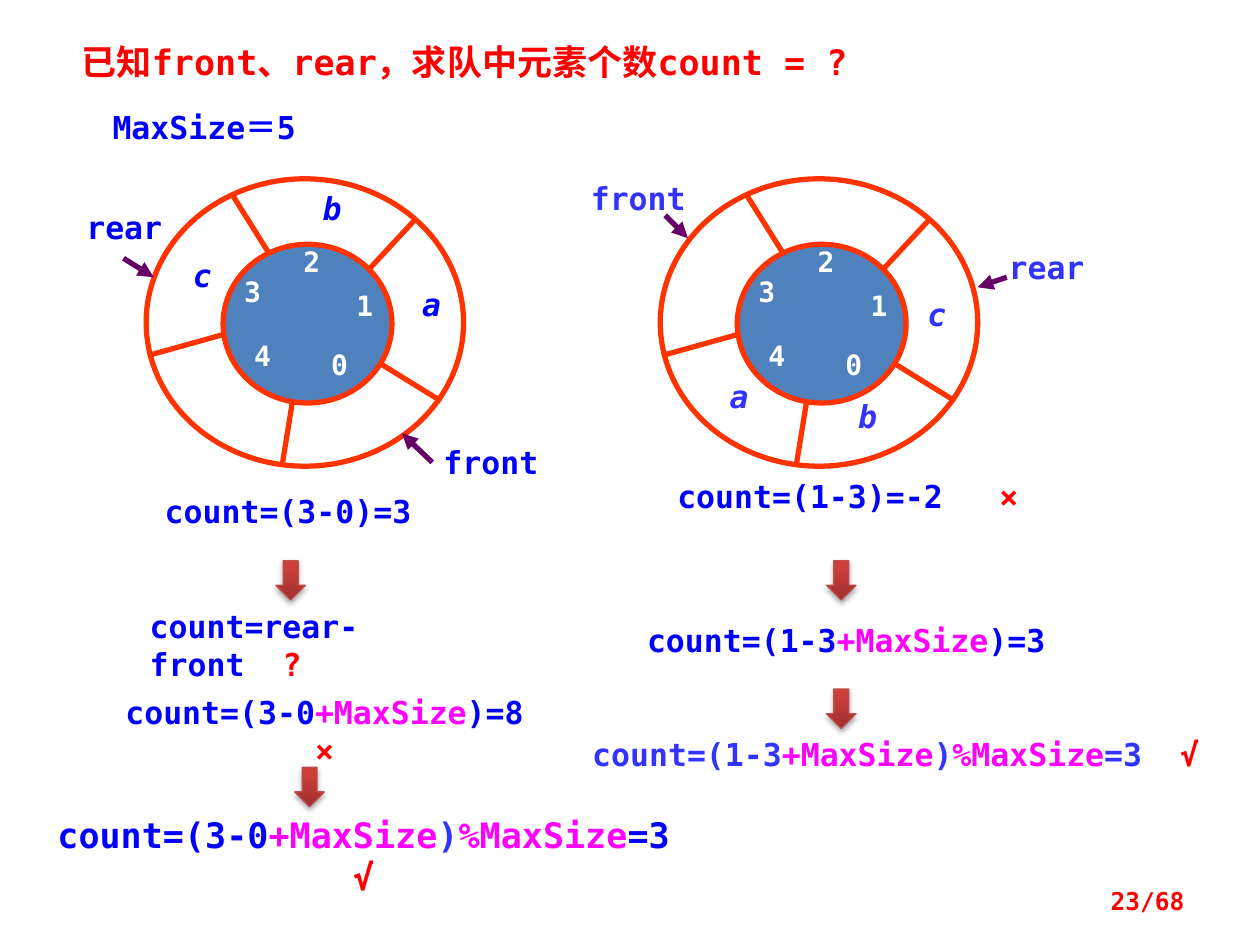
"""Build the slide on counting the elements of a circular queue."""
import lxml.etree
import pptx
import pptx.dml.color
import pptx.enum.shapes
import pptx.enum.text
import pptx.oxml.ns
import pptx.util

Pt = pptx.util.Pt
qn = pptx.oxml.ns.qn
ALIGN = pptx.enum.text.PP_ALIGN
SHAPE = pptx.enum.shapes.MSO_SHAPE
FONT = "DejaVu Sans Mono"
BLUE, INDIGO, PINK, RED = "0000FF", "3333FF", "FF00FF", "FF0000"
WHITE, ORANGE, PURPLE, STEEL = "FFFFFF", "FF3300", "660066", "4F81BD"

DIVIDERS = [
    (134.5, 106, 168.5, 127), (128, 51, 154, 23), (49.5, 9.5, 70.5, 43),
    (83.5, 128, 78, 162), (1, 101, 44, 89),
]
INDEX_PLACES = [(99.4, 96.5), (113.8, 62.6), (83.5, 37.4), (49.7, 54.7), (55.4, 91.4)]


def rgb(color):
    """Return the colour for a hex string."""
    return pptx.dml.color.RGBColor.from_string(color)


def add_text(s, box, runs, size=18, align=ALIGN.CENTER, inset=None, italic=False, tab=None):
    """Add a bold text box made of (text, colour) runs, where a newline run breaks the line."""
    sp = s.shapes.add_textbox(*map(Pt, box))
    tf = sp.text_frame
    tf.word_wrap = True
    if inset is not None:
        tf.margin_left = Pt(inset)
    if inset == 0:
        tf.margin_right = tf.margin_top = tf.margin_bottom = 0
    p = tf.paragraphs[0]
    p.alignment = align
    if tab:
        tabs = lxml.etree.SubElement(p._p.get_or_add_pPr(), qn("a:tabLst"))
        lxml.etree.SubElement(tabs, qn("a:tab"), pos=str(Pt(tab)), algn="l")
    for text, color in runs:
        if text == "\n":
            p.add_line_break()
            continue
        r = p.add_run()
        r.text = text
        r.font.name, r.font.size = FONT, Pt(size)
        r.font.bold = True
        if italic:
            r.font.italic = True
        r.font.color.rgb = rgb(color)
    return sp


def add_label(s, x, y, text, color, size=18):
    """Add a tight label: a pointer name, a cell index or an italic element."""
    width = 57 if len(text) > 1 else 22.3
    add_text(s, (x, y, width, size * 1.2), [(text, color)], size,
             inset=0, italic=text.isalpha() and len(text) == 1)


def add_line(s, ends, color, arrow=False):
    """Add a straight line, with an arrowhead at its end if wanted."""
    cx = s.shapes.add_connector(pptx.enum.shapes.MSO_CONNECTOR.STRAIGHT, *map(Pt, ends))
    cx.line.color.rgb = rgb(color)
    cx.line.width = Pt(3)
    if arrow:
        lxml.etree.SubElement(cx.line._get_or_add_ln(), qn("a:tailEnd"), type="triangle")
    lxml.etree.SubElement(cx._element.spPr, qn("a:effectLst"))


def add_ellipse(s, box, fill=None):
    """Add an orange-edged ellipse, filled or hollow."""
    sp = s.shapes.add_shape(SHAPE.OVAL, *map(Pt, box))
    sp.shadow.inherit = False
    if fill:
        sp.fill.solid()
        sp.fill.fore_color.rgb = rgb(fill)
    else:
        sp.fill.background()
    sp.line.color.rgb = rgb(ORANGE)
    sp.line.width = Pt(3)


def add_ring(s, x, y):
    """Add a queue ring with five cells and their indices."""
    add_ellipse(s, (x + 44, y + 37.4, 96.5, 90.7), STEEL)
    add_ellipse(s, (x, y, 181.4, 164.2))
    for x1, y1, x2, y2 in DIVIDERS:
        add_line(s, (x + x1, y + y1, x + x2, y + y2), ORANGE)
    for i, (dx, dy) in enumerate(INDEX_PLACES):
        add_label(s, x + dx, y + dy, str(i), WHITE, 16)


def add_step_arrow(s, x, y):
    """Add a shaded red block arrow pointing down, with a soft shadow."""
    sp = s.shapes.add_shape(SHAPE.DOWN_ARROW, Pt(x), Pt(y), Pt(16.9), Pt(22.5))
    sp.fill.gradient()
    sp.fill.gradient_angle = 90
    shades = [(0, "9C2F2D"), (0.8, "CB3E3A")]
    for stop, (position, color) in zip(sp.fill.gradient_stops, shades):
        stop.position = position
        stop.color.rgb = rgb(color)
    sp.line.color.rgb = rgb("BF4C48")
    sp.line.width = Pt(0.75)
    sp.shadow.inherit = False
    effects = sp._element.spPr.find(qn("a:effectLst"))
    shadow = lxml.etree.SubElement(effects, qn("a:outerShdw"), blurRad=str(Pt(3.1)),
                                   dist=str(Pt(1.8)), dir="5400000", rotWithShape="0")
    black = lxml.etree.SubElement(shadow, qn("a:srgbClr"), val="000000")
    lxml.etree.SubElement(black, qn("a:alpha"), val="35000")


def modulo_runs(start, color, inner, gap):
    """Return the runs of the correct formula, ending with its tick."""
    return [(start, color), ("+MaxSize", PINK), (")", inner), ("%MaxSize", PINK),
            ("=3", color), *gap, ("√", RED)]


def main():
    """Build and save the slide."""
    prs = pptx.Presentation()
    prs.slide_width, prs.slide_height = Pt(720), Pt(540)
    s = prs.slides.add_slide(prs.slide_layouts[6])

    add_text(s, (39.6, 19.4, 500.4, 31.7),
             [("已知front、rear，求队中元素个数count = ?", RED)], 20, ALIGN.LEFT)
    add_text(s, (50.4, 58.3, 132.5, 28.8), [("MaxSize＝5", BLUE)])

    queues = [
        (83.5, BLUE,
         [(252, 253.4, "front"), (42.5, 118.8, "rear"), (235.4, 162.7, "a"),
          (178.6, 108, "b"), (104.4, 146.2, "c")],
         [(247, 264.2, 229.7, 247.7), (70.6, 147.6, 87.8, 158.4)]),
        (377.3, INDIGO,
         [(336.2, 102.2, "front"), (569.5, 141.8, "rear"), (411.1, 215.3, "a"),
          (484.6, 226.8, "b"), (524.2, 168.5, "c")],
         [(380.2, 123.1, 393.1, 136.1), (575.3, 158.4, 558.7, 164.2)]),
    ]
    for x, color, labels, pointers in queues:
        add_ring(s, x, 102.2)
        for label in labels:
            add_label(s, *label, color)
        for ends in pointers:
            add_line(s, ends, PURPLE, arrow=True)

    for x, y in [(157.7, 320.4), (168.5, 438.5), (472.3, 320.4), (472.3, 393.8)]:
        add_step_arrow(s, x, y)

    add_text(s, (70.6, 277.9, 187.9, 28.8), [("count=(3-0)=3", BLUE)])
    add_text(s, (78.5, 343.4, 213.8, 28.8),
             [("count=rear-", BLUE), ("\n", BLUE), ("front\t", BLUE), ("?", RED)],
             align=ALIGN.LEFT, tab=76)
    add_text(s, (50.4, 392.4, 270, 28.8),
             [("count=(3-0", BLUE), ("+MaxSize", PINK), (")=8", BLUE), ("\n", BLUE), ("×", RED)])
    add_text(s, (16.6, 461.5, 382.3, 31.7),
             modulo_runs("count=(3-0", BLUE, INDIGO, [("\n", BLUE)]), 20)

    add_text(s, (371.5, 269.3, 226.8, 28.8), [("count=(1-3)=-2\t", BLUE), ("×", RED)],
             align=ALIGN.LEFT, inset=15.5, tab=184)
    add_text(s, (348.5, 351.4, 270, 28.8),
             [("count=(1-3", BLUE), ("+MaxSize", PINK), (")=3", BLUE)])
    add_text(s, (320.4, 416.2, 382.3, 28.8),
             modulo_runs("count=(1-3", INDIGO, INDIGO, [("\t", INDIGO)]),
             align=ALIGN.LEFT, inset=18, tab=336)

    page = add_text(s, (516.2, 500.4, 167.8, 28.8), [("23/68", RED)], 14, ALIGN.RIGHT)
    page.text_frame.vertical_anchor = pptx.enum.text.MSO_ANCHOR.MIDDLE
    prs.save("out.pptx")


if __name__ == "__main__":
    main()
